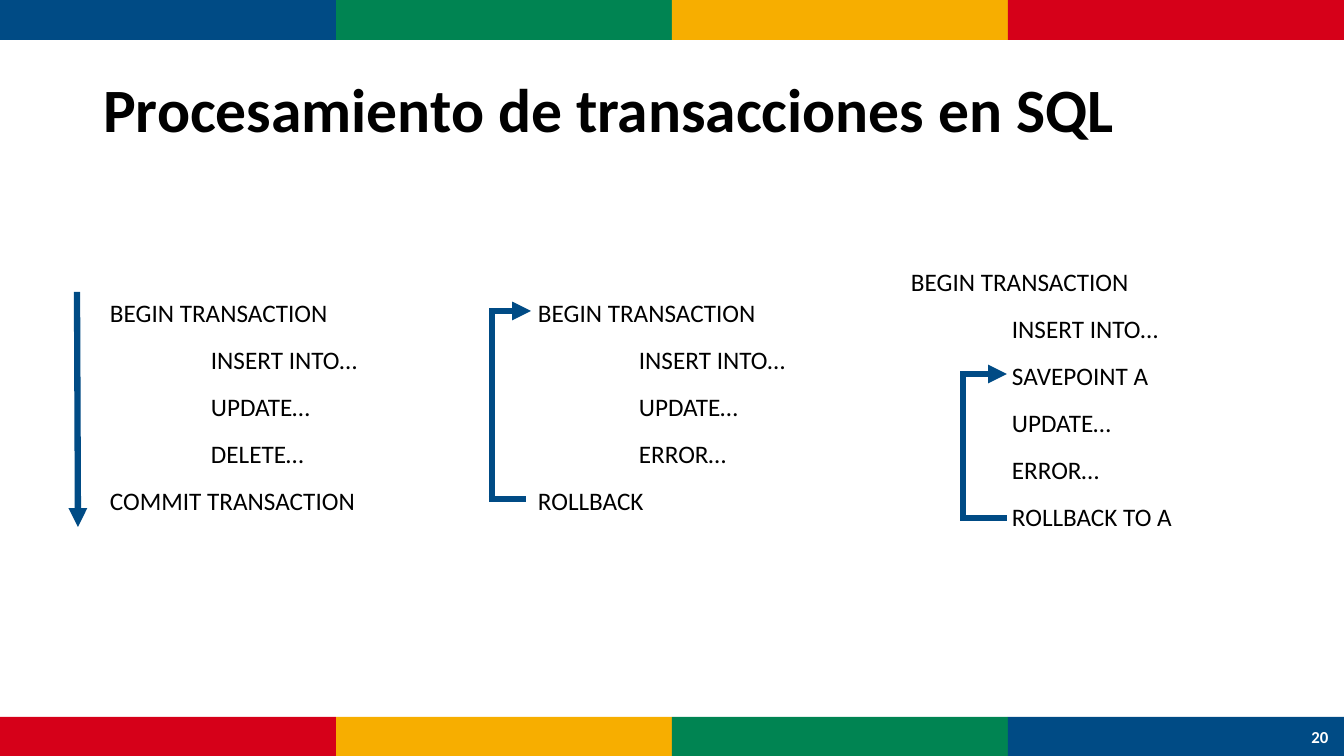
from lxml.etree import SubElement
from pptx import Presentation
from pptx.dml.color import RGBColor
from pptx.enum.shapes import MSO_CONNECTOR, MSO_SHAPE
from pptx.enum.text import MSO_ANCHOR, MSO_AUTO_SIZE, PP_ALIGN
from pptx.oxml.ns import qn
from pptx.util import Pt

COLORS = {"blue": "004B85", "green": "008452", "yellow": "F7AE00",
          "red": "D60019", "black": "000000", "white": "FFFFFF"}
TITLE = "Procesamiento de transacciones en SQL"
PAGE = "20"
# Band top and its colours from left to right
BANDS = [(0, ["blue", "green", "yellow", "red"]),
         (717, ["red", "yellow", "green", "blue"])]
# Text box, statements as (indent level, text), lines as (x1, y1, x2, y2, arrowhead)
FLOWS = [
    {"box": (100, 292, 328, 231),
     "code": [(0, "BEGIN TRANSACTION"), (1, "INSERT INTO…"), (1, "UPDATE…"),
              (1, "DELETE…"), (0, "COMMIT TRANSACTION")],
     "lines": [(77, 292, 78, 527, True)]},
    {"box": (528, 292, 328, 231),
     "code": [(0, "BEGIN TRANSACTION"), (1, "INSERT INTO…"), (1, "UPDATE…"),
              (1, "ERROR…"), (0, "ROLLBACK")],
     "lines": [(492, 496, 492, 308, False), (494, 311, 531, 311, True),
               (489, 499, 526, 499, False)]},
    {"box": (901, 261, 328, 278),
     "code": [(0, "BEGIN TRANSACTION"), (1, "INSERT INTO…"), (1, "SAVEPOINT A"),
              (1, "UPDATE…"), (1, "ERROR…"), (1, "ROLLBACK TO A")],
     "lines": [(963, 521, 963, 371, False), (963, 374, 1007, 374, True),
               (963, 518, 1007, 518, False)]},
]
WIDTH, HEIGHT, BAND_HEIGHT, INDENT = 1344, 756, 40, 101
CODE_FORMAT = {"alignment": PP_ALIGN.JUSTIFY, "space_before": Pt(6), "space_after": Pt(6)}


def px(n):
    return round(n * 914400 / 100.8)


def rgb(name):
    return RGBColor.from_string(COLORS[name])


def write(p, text, size, color="black", bold=False, **paragraph_format):
    for name, value in paragraph_format.items():
        setattr(p, name, value)
    r = p.add_run()
    r.text = text
    for name, value in {"name": "Calibri", "size": Pt(size), "bold": bold}.items():
        setattr(r.font, name, value)
    r.font.color.rgb = rgb(color)


def add_band(shapes, top, colors):
    width = WIDTH // len(colors)
    for i, color in enumerate(colors):
        sp = shapes.add_shape(MSO_SHAPE.RECTANGLE, px(i * width), px(top),
                              px(width), px(min(BAND_HEIGHT, HEIGHT - top)))
        sp.shadow.inherit = False
        sp.fill.solid()
        sp.fill.fore_color.rgb = rgb(color)
        sp.line.fill.background()


def add_line(shapes, x1, y1, x2, y2, arrowhead):
    line = shapes.add_connector(MSO_CONNECTOR.STRAIGHT, px(x1), px(y1), px(x2), px(y2))
    line.line.color.rgb = rgb("blue")
    line.line.width = Pt(4.5)
    if arrowhead:
        SubElement(line.line._get_or_add_ln(), qn("a:tailEnd"), type="triangle")
    SubElement(line._element.spPr, qn("a:effectLst"))


def add_flow(shapes, box, code, lines):
    """Group the statements of one transaction with the lines showing its course."""
    group = shapes.add_group_shape().shapes
    tf = group.add_textbox(*map(px, box)).text_frame
    tf.word_wrap = True
    for i, (level, text) in enumerate(code):
        p = tf.add_paragraph() if i else tf.paragraphs[0]
        write(p, text, 18, **CODE_FORMAT)
        if level:
            p._p.get_or_add_pPr().set("marL", str(px(level * INDENT)))
    for line in lines:
        add_line(group, *line)


def main():
    prs = Presentation()
    prs.slide_width, prs.slide_height = px(WIDTH), px(HEIGHT)
    s = prs.slides.add_slide(prs.slide_layouts[5])

    title = s.shapes.title
    title.left, title.top, title.width, title.height = map(px, (93, 40, 1159, 146))
    title.text_frame.auto_size = MSO_AUTO_SIZE.NONE
    title.text_frame.vertical_anchor = MSO_ANCHOR.MIDDLE
    write(title.text_frame.paragraphs[0], TITLE, 44, bold=True,
          alignment=PP_ALIGN.LEFT, line_spacing=0.9)

    for top, colors in BANDS:
        add_band(s.shapes, top, colors)
    for flow in FLOWS:
        add_flow(s.shapes, **flow)

    tf = s.shapes.add_textbox(*map(px, (1297, 717, 46, 40))).text_frame
    tf.word_wrap = True
    tf.vertical_anchor = MSO_ANCHOR.MIDDLE
    write(tf.paragraphs[0], PAGE, 12, "white", True, alignment=PP_ALIGN.CENTER)

    prs.save("out.pptx")


if __name__ == "__main__":
    main()
